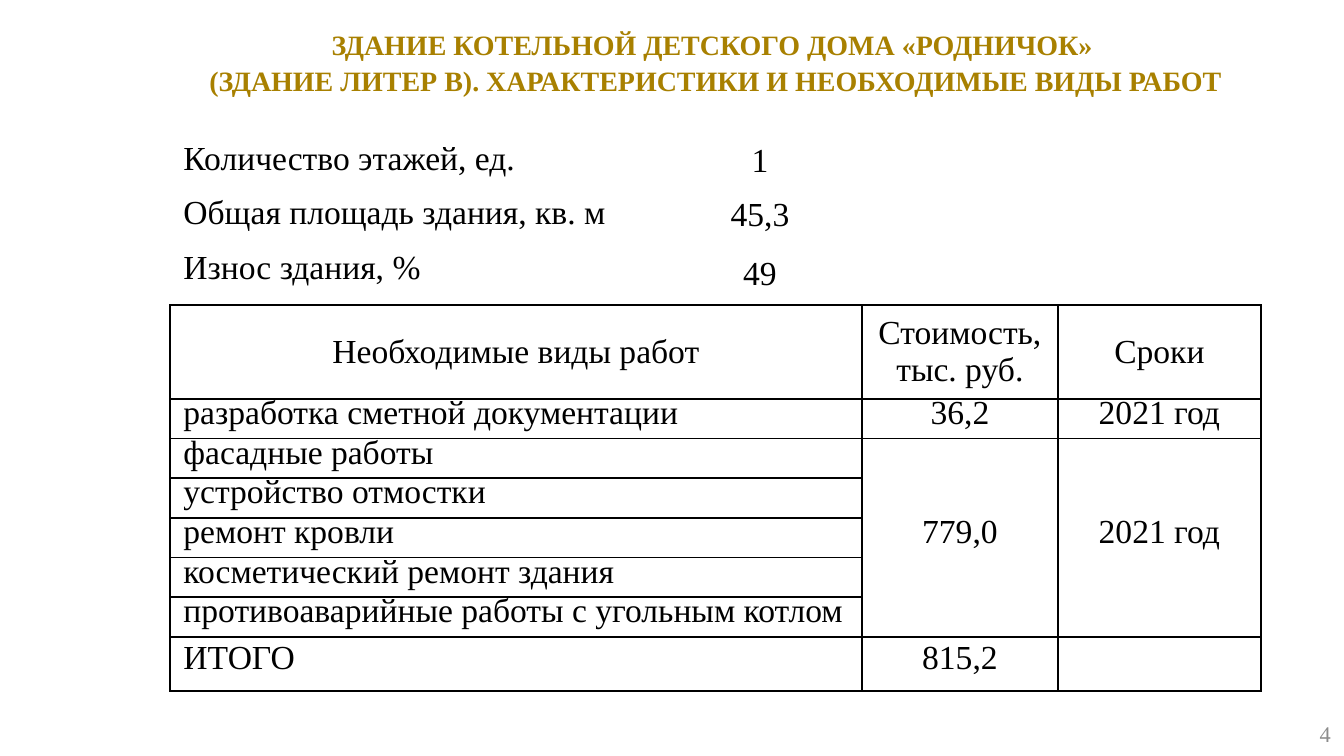
import pptx
import pptx.util
import pptx.dml.color
import pptx.enum.text
from lxml import etree

PX = 9144000 / 1344  # EMU in one px
GOLD = pptx.dml.color.RGBColor(0xA8, 0x80, 0x00)
GREY = pptx.dml.color.RGBColor(0x8C, 0x8C, 0x8C)
BLACK = pptx.dml.color.RGBColor(0, 0, 0)
WHITE = pptx.dml.color.RGBColor(255, 255, 255)
ALIGN = pptx.enum.text.PP_ALIGN
MIDDLE = pptx.enum.text.MSO_ANCHOR.MIDDLE
A = "http://schemas.openxmlformats.org/drawingml/2006/main"


def px(value):
    return pptx.util.Emu(round(value * PX))


def write(frame, text, size=18, color=BLACK, bold=False, align=ALIGN.LEFT, spacing=None):
    for i, line in enumerate(text.split("\n")):
        paragraph = frame.paragraphs[0] if i == 0 else frame.add_paragraph()
        paragraph.alignment = align
        if spacing:
            paragraph.line_spacing = spacing
        run = paragraph.add_run()
        run.text = line
        run.font.name = "Times New Roman"
        run.font.size = pptx.util.Pt(size)
        run.font.bold = bold
        run.font.color.rgb = color


deck = pptx.Presentation()
deck.slide_width, deck.slide_height = px(1344), px(756)
slide = deck.slides.add_slide(deck.slide_layouts[6])

# Title and page number
title = slide.shapes.add_textbox(px(134), px(8), px(1164), px(106)).text_frame
title.margin_left = title.margin_right = title.margin_top = title.margin_bottom = 0
page_number = slide.shapes.add_textbox(px(1298), px(711), px(46), px(46)).text_frame
for frame in (title, page_number):
    frame.word_wrap = True
    frame.vertical_anchor = MIDDLE
write(title, "ЗДАНИЕ КОТЕЛЬНОЙ ДЕТСКОГО ДОМА «РОДНИЧОК» \n"
      "(ЗДАНИЕ ЛИТЕР В). ХАРАКТЕРИСТИКИ И НЕОБХОДИМЫЕ ВИДЫ РАБОТ",
      size=15, color=GOLD, bold=True, align=ALIGN.CENTER, spacing=1.06)
write(page_number, "4", size=12, color=GREY, align=ALIGN.RIGHT)

# Table grid: building facts on top, works below
FACTS = 3
HEADER = 3
widths = [488, 204, 196, 203]
heights = [54, 55, 62, 88] + [39] * 6 + [54]
works = slide.shapes.add_table(len(heights), len(widths), px(170), px(134),
                               px(sum(widths)), px(sum(heights))).table
works.first_row = works.horz_banding = False
for column, width in zip(works.columns, widths):
    column.width = px(width)
for row, height in zip(works.rows, heights):
    row.height = px(height)

# Borders and fills: facts have only a line under the last one
for r in range(len(heights)):
    for c in range(len(widths)):
        cell = works.cell(r, c)
        properties = cell._tc.get_or_add_tcPr()
        for side in "LRTB":
            border = etree.SubElement(properties, f"{{{A}}}ln{side}", w="12700")
            if r >= FACTS or (r == FACTS - 1 and side == "B"):
                line = etree.SubElement(border, f"{{{A}}}solidFill")
                etree.SubElement(line, f"{{{A}}}srgbClr", val="000000")
            else:
                etree.SubElement(border, f"{{{A}}}noFill")
        cell.fill.solid()
        cell.fill.fore_color.rgb = WHITE

# Merged cells
for r in range(len(heights)):
    first = 2 if r < FACTS else 0
    works.cell(r, first).merge(works.cell(r, first + 1))
for c in (2, 3):
    works.cell(5, c).merge(works.cell(9, c))

# Table text: row -> {column: text}
content = [
    {0: "Количество этажей, ед.", 1: "1"},
    {0: "Общая площадь здания, кв. м", 1: "45,3"},
    {0: "Износ здания, %", 1: "49"},
    {0: "Необходимые виды работ", 2: "Стоимость, \nтыс. руб.", 3: "Сроки"},
    {0: "разработка сметной документации", 2: "36,2", 3: "2021 год"},
    {0: "фасадные работы", 2: "779,0", 3: "2021 год"},
    {0: "устройство отмостки"},
    {0: "ремонт кровли"},
    {0: "косметический ремонт здания"},
    {0: "противоаварийные работы с угольным котлом"},
    {0: "ИТОГО", 2: "815,2"},
]
MIDDLE_LABELS = (6, 7, 10)
for r, texts in enumerate(content):
    for c, text in texts.items():
        cell = works.cell(r, c)
        centered = c > 0 or r == HEADER
        if centered or r in MIDDLE_LABELS:
            cell.vertical_anchor = MIDDLE
        write(cell.text_frame, text, align=ALIGN.CENTER if centered else ALIGN.LEFT,
              spacing=pptx.util.Pt(14) if r > HEADER else None)

deck.save("out.pptx")
